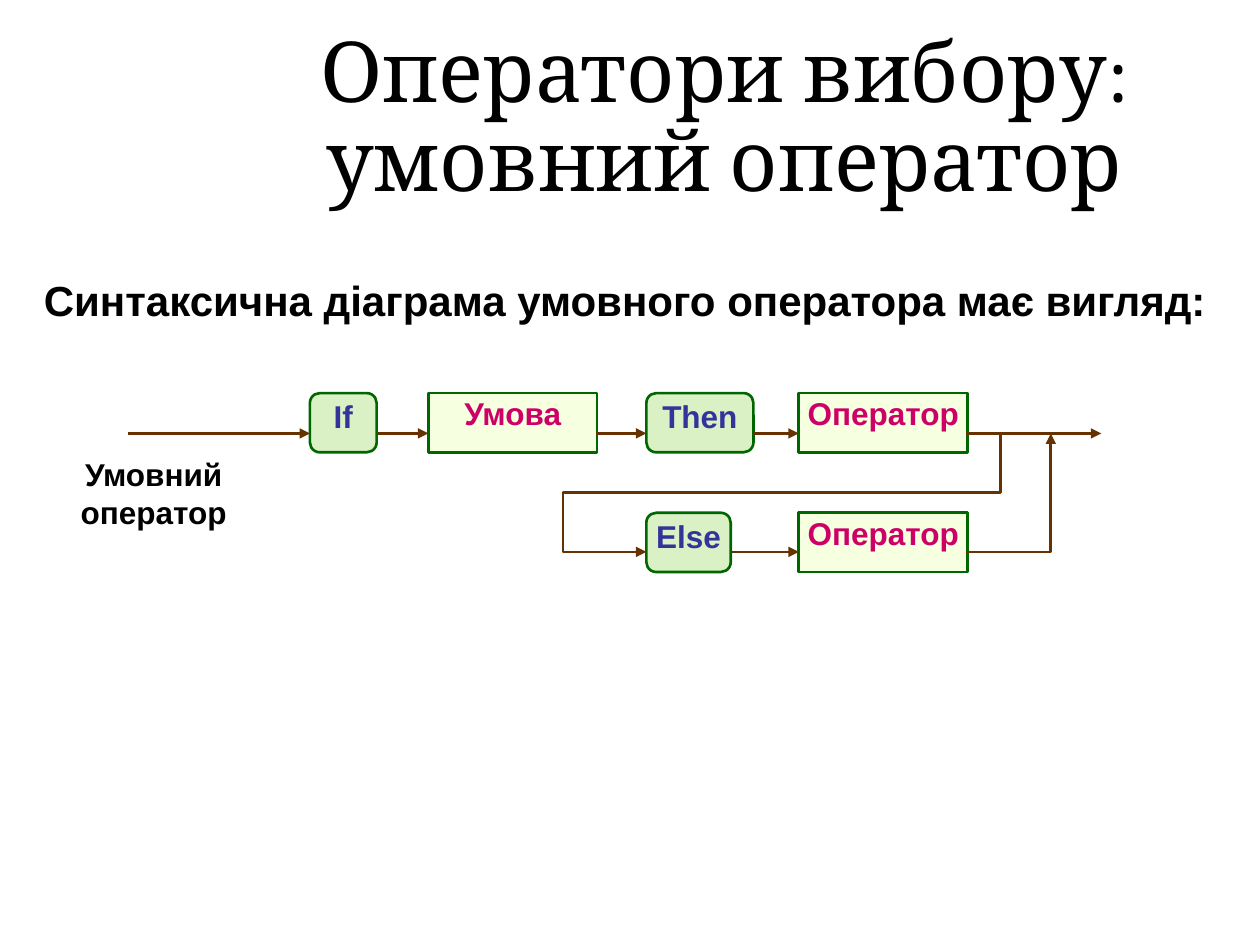
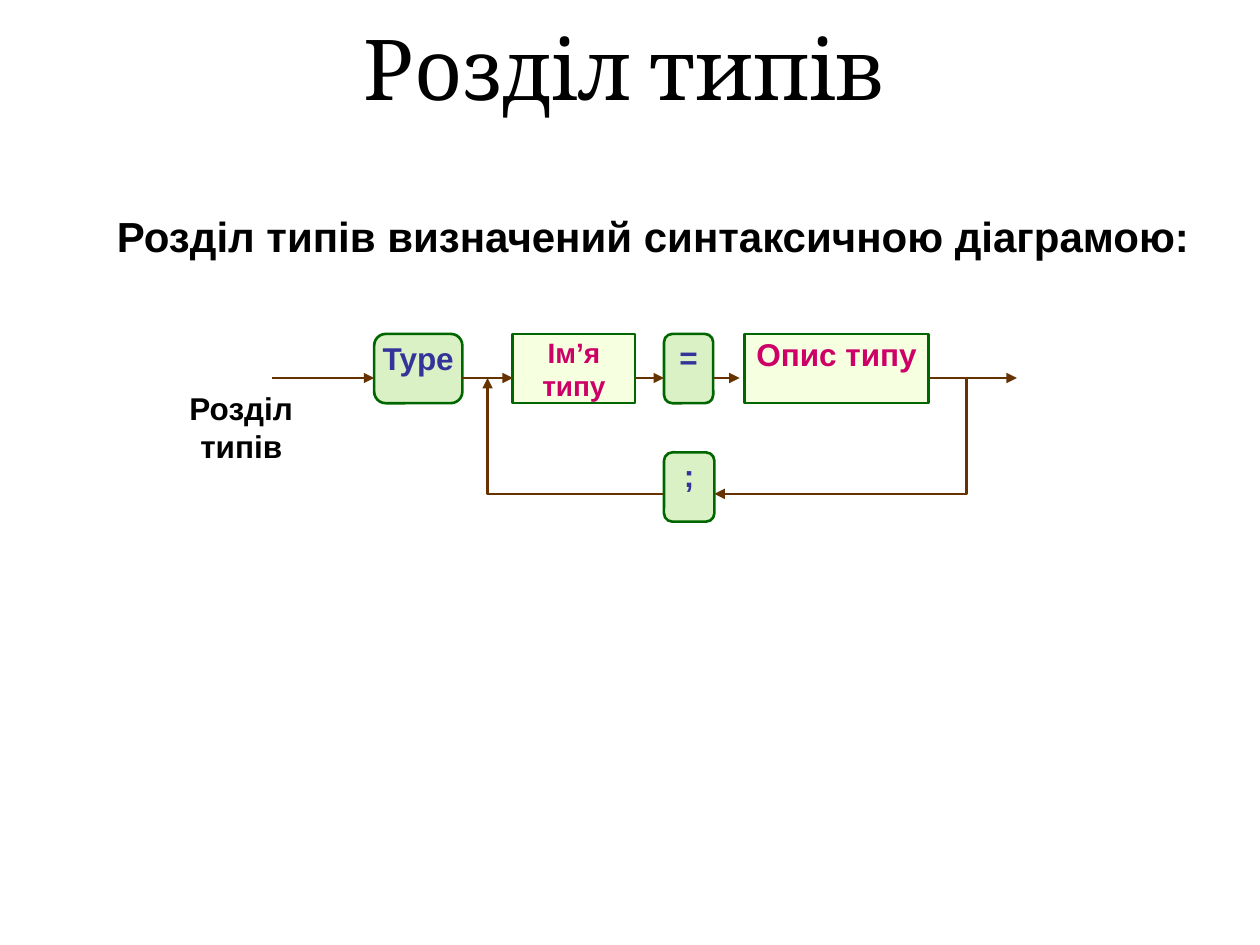
from lxml import etree
from pptx import Presentation
from pptx.dml.color import RGBColor
from pptx.enum import shapes, text
from pptx.oxml.ns import qn
from pptx.util import Inches, Pt

BLACK = RGBColor(0x00, 0x00, 0x00)
GREEN = RGBColor(0x00, 0x66, 0x00)
BROWN = RGBColor(0x66, 0x33, 0x00)
KEYWORD_FILL = RGBColor(0xB6, 0xE3, 0x8D)
KEYWORD_TEXT = RGBColor(0x33, 0x33, 0x99)
TERM_FILL = RGBColor(0xEF, 0xFF, 0xC1)
TERM_TEXT = RGBColor(0xCC, 0x00, 0x66)

CENTER, LEFT = text.PP_ALIGN.CENTER, text.PP_ALIGN.LEFT
TOP, MIDDLE = text.MSO_ANCHOR.TOP, text.MSO_ANCHOR.MIDDLE


def write(sp, content, size=18, font="Arial", color=BLACK, bold=True,
          align=CENTER, anchor=TOP, insets=(0.1, 0.05, 0.1, 0.05),
          wrap=True, spacing=1.0):
    """Fill a shape with text, one paragraph per line."""
    tf = sp.text_frame
    tf.word_wrap = wrap
    tf.vertical_anchor = anchor
    (tf.margin_left, tf.margin_top,
     tf.margin_right, tf.margin_bottom) = map(Inches, insets)
    for i, line in enumerate(content.split("\n")):
        p = tf.add_paragraph() if i else tf.paragraphs[0]
        p.alignment = align
        p.line_spacing = spacing
        r = p.add_run()
        r.text = line
        r.font.name, r.font.size, r.font.bold = font, Pt(size), bold
        r.font.color.rgb = color


def add_text(s, at, content, **fmt):
    write(s.shapes.add_textbox(*map(Inches, at)), content, **fmt)


def add_title(s, left, top, content, **fmt):
    add_text(s, (left, top, 7.32, 1.07), content, size=48, font="Cambria",
             bold=False, anchor=MIDDLE, **fmt)


def add_box(s, kind, at, content, fill, color, size):
    sp = s.shapes.add_shape(kind, *map(Inches, at))
    sp.shadow.inherit = False
    sp.fill.solid()
    sp.fill.fore_color.rgb = fill
    # Half-transparent fill
    clr = sp.fill._xPr.find(qn("a:solidFill"))[0]
    etree.SubElement(clr, qn("a:alpha"), val="50000")
    sp.line.color.rgb = GREEN
    sp.line.width = Pt(1.5)
    write(sp, content, size=size, color=color, insets=(0.01,) * 4)
    return sp


def add_keyword(s, at, content):
    """Rounded box: a reserved word or sign of the language."""
    sp = add_box(s, shapes.MSO_SHAPE.ROUNDED_RECTANGLE, at, content,
                 KEYWORD_FILL, KEYWORD_TEXT, 18)
    sp.adjustments[0] = 0.167


def add_term(s, at, content, size=18):
    """Square box: a notion defined elsewhere."""
    add_box(s, shapes.MSO_SHAPE.RECTANGLE, at, content,
            TERM_FILL, TERM_TEXT, size)


def add_flow(s, *points):
    """Arrow through the points: straight for two, bent for more."""
    pts = [(Inches(x), Inches(y)) for x, y in points]
    if len(pts) == 2:
        sp = s.shapes.add_connector(shapes.MSO_CONNECTOR.STRAIGHT,
                                    *pts[0], *pts[1])
    else:
        fb = s.shapes.build_freeform(*pts[0])
        fb.add_line_segments(pts[1:], close=False)
        sp = fb.convert_to_shape()
        sp.fill.background()
    sp.line.color.rgb = BROWN
    sp.line.width = Pt(1.5)
    etree.SubElement(sp.line._get_or_add_ln(), qn("a:tailEnd"),
                     type="triangle")
    etree.SubElement(sp._element.spPr, qn("a:effectLst"))


def add_row_flows(s, y, spans):
    for x1, x2 in spans:
        add_flow(s, (x1, y), (x2, y))


def conditional_slide(s):
    add_title(s, 2.09, 0.36, "Оператори вибору: умовний оператор",
              spacing=0.88, insets=(0.1, 0.12, 0.1, 0))
    add_text(s, (0.25, 2.13, 9.46, 0.9),
             "Синтаксична діаграма умовного оператора має вигляд:",
             size=24, align=LEFT, wrap=False)

    # Boxes of the main row and of the else branch
    top, branch_top, h = 3.12, 4.07, 0.47
    add_keyword(s, (2.46, top, 0.53, h), "If")
    add_term(s, (3.4, top, 1.34, h), "Умова")
    add_keyword(s, (5.13, top, 0.85, h), "Then")
    add_keyword(s, (5.13, branch_top, 0.67, h), "Else")
    for y in (top, branch_top):
        add_term(s, (6.34, y, 1.34, h), "Оператор")

    # Arrows
    y, branch_y = 3.44, 4.38
    mid_y = (y + branch_y) / 2
    add_row_flows(s, y, [(1.02, 2.46), (3, 3.4), (4.73, 5.13),
                         (5.98, 6.34), (7.67, 8.74)])
    add_row_flows(s, branch_y, [(5.8, 6.34)])
    add_flow(s, (7.94, y), (7.94, mid_y), (4.47, mid_y),
             (4.47, branch_y), (5.13, branch_y))
    add_flow(s, (7.67, branch_y), (8.34, branch_y), (8.34, y))

    add_text(s, (0.54, 3.56, 1.36, 0.7), "Умовний\nоператор",
             anchor=MIDDLE, wrap=False)


def types_slide(s):
    add_title(s, 1.3, 0, "Розділ типів")
    add_text(s, (0.83, 1.62, 9, 4.95),
             "Розділ типів визначений синтаксичною діаграмою:",
             size=24, align=LEFT)

    # Boxes of the main row and the separator below
    top, h = 2.65, 0.55
    add_keyword(s, (2.97, top, 0.7, h), "Type")
    add_term(s, (4.07, top, 0.97, h), "Ім’я типу", size=16)
    add_keyword(s, (5.27, top, 0.39, h), "=")
    add_term(s, (5.91, top, 1.46, h), "Опис типу")
    add_keyword(s, (5.27, 3.59, 0.4, h), ";")

    # Arrows, with the loop back through the separator
    y, loop_y = 3, 3.92
    add_row_flows(s, y, [(2.16, 2.97), (3.67, 4.07), (5.04, 5.27),
                         (5.67, 5.87), (7.37, 8.07)])
    add_flow(s, (7.67, y), (7.67, loop_y), (5.67, loop_y))
    add_flow(s, (5.27, loop_y), (3.87, loop_y), (3.87, y))

    add_text(s, (1.4, 3.04, 1.03, 1), "Розділ\nтипів", wrap=False)


def main():
    prs = Presentation()
    prs.slide_width, prs.slide_height = Inches(10), Inches(7.5)
    for build in (conditional_slide, types_slide):
        build(prs.slides.add_slide(prs.slide_layouts[6]))
    prs.save("out.pptx")


main()
